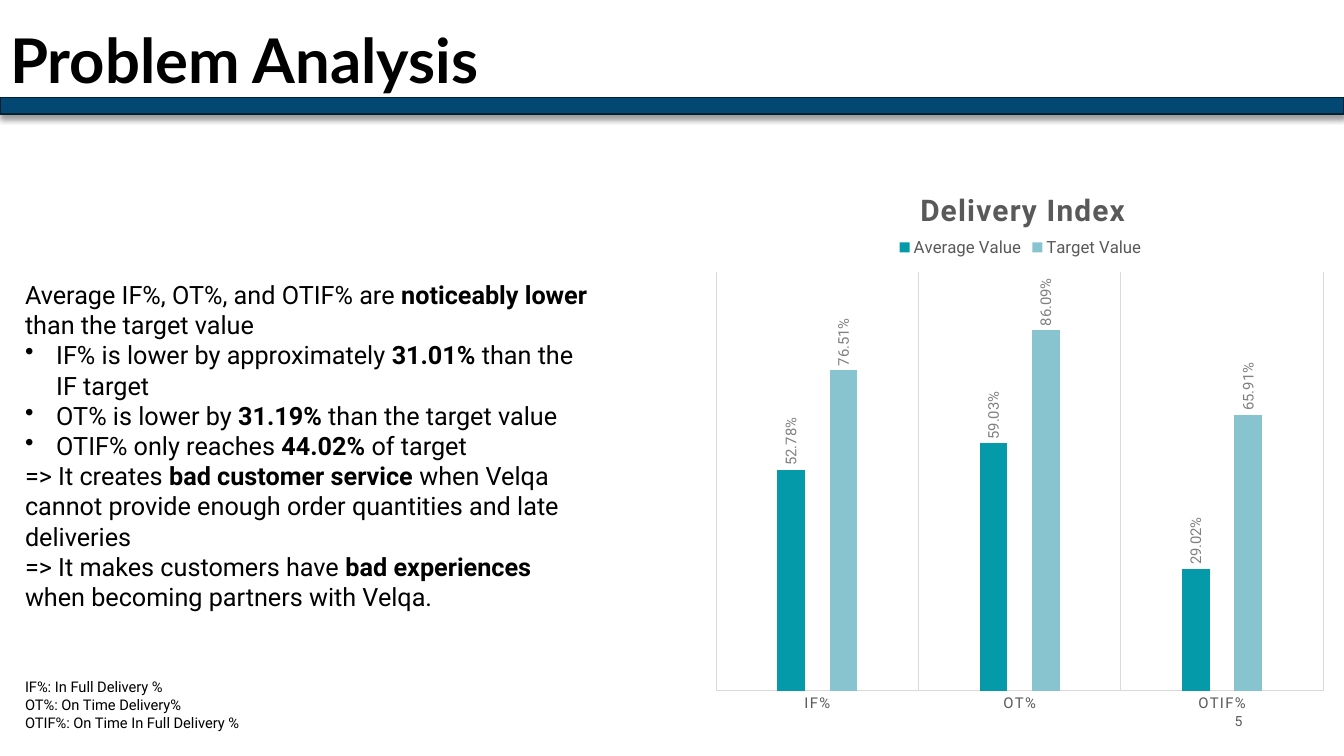
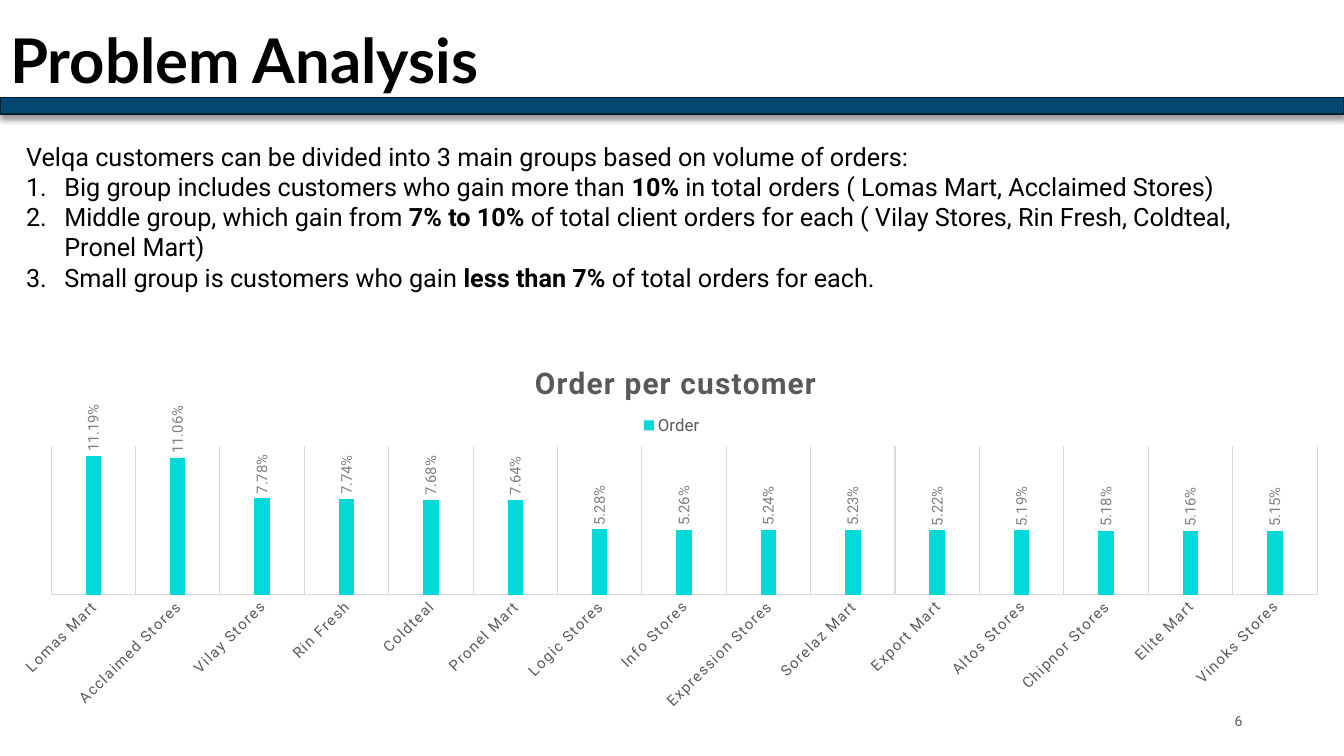
import pptx
import pptx.chart.data
import pptx.dml.color
import pptx.enum.chart
import pptx.enum.shapes
import pptx.enum.text
import pptx.oxml
import pptx.oxml.ns
import pptx.util
from lxml import etree

Inches, Pt = pptx.util.Inches, pptx.util.Pt
qn = pptx.oxml.ns.qn
MIDDLE = pptx.enum.text.MSO_ANCHOR.MIDDLE
ALIGN = pptx.enum.text.PP_ALIGN

COLORS = {
    "text": "000000", "band": "024873", "band_line": "012032",
    "muted": "595959", "label": "808080", "rule": "D9D9D9",
    "average": "049AAA", "target": "87C4D0", "order": "04D9D9",
}
TITLE_FONT, BODY_FONT = "Lato", "Roboto"
SLIDE_W = 13.33


def rgb(name):
    return pptx.dml.color.RGBColor.from_string(COLORS[name])


def set_font(font, size, color="text", name=BODY_FONT, bold=None):
    font.size, font.name, font.bold = Pt(size), name, bold
    font.color.rgb = rgb(color)


# Shared slide parts
def add_band(slide):
    sp = slide.shapes.add_shape(pptx.enum.shapes.MSO_SHAPE.RECTANGLE,
                                0, Inches(0.97), Inches(SLIDE_W), Inches(0.16))
    sp.fill.solid()
    sp.fill.fore_color.rgb = rgb("band")
    sp.line.color.rgb = rgb("band_line")
    sp.line.width = Pt(1)
    sp.shadow.inherit = False
    effects = sp.element.spPr.find(qn("a:effectLst"))
    shadow = etree.SubElement(effects, qn("a:outerShdw"), blurRad=str(Pt(4)),
                              dist=str(Pt(3)), dir="5400000", algn="t", rotWithShape="0")
    black = etree.SubElement(shadow, qn("a:srgbClr"), val=COLORS["text"])
    etree.SubElement(black, qn("a:alpha"), val="40000")


def add_slide(prs, title, number):
    s = prs.slides.add_slide(prs.slide_layouts[5])
    sp = s.shapes.title
    sp.left, sp.top, sp.width, sp.height = 0, Inches(0.15), Inches(6.16), Inches(0.97)
    tf = sp.text_frame
    tf.text = title
    tf.vertical_anchor = MIDDLE
    p = tf.paragraphs[0]
    p.alignment, p.line_spacing = ALIGN.LEFT, 0.9
    set_font(p.font, 44, name=TITLE_FONT, bold=True)

    tf = add_text(s, (9.42, 6.95, 3, 0.4), [(str(number), None)], 10, "muted")
    tf.vertical_anchor = MIDDLE
    tf.paragraphs[0].alignment = ALIGN.RIGHT
    add_band(s)
    return s


# Text: each line is (text with **bold** parts, list style or None)
def set_list_style(p, style):
    indent = {"bullet": 0.31, "number": 0.38}[style]
    pPr = p._p.get_or_add_pPr()
    pPr.set("marL", str(Inches(indent)))
    pPr.set("indent", str(-Inches(indent)))
    if style == "bullet":
        mark = etree.Element(qn("a:buChar"), char="•")
    else:
        mark = etree.Element(qn("a:buAutoNum"), type="arabicPeriod")
    pPr.insert(0, mark)


def add_text(slide, box, lines, size, color="text"):
    tf = slide.shapes.add_textbox(*map(Inches, box)).text_frame
    tf.word_wrap = True
    for i, (text, style) in enumerate(lines):
        p = tf.add_paragraph() if i else tf.paragraphs[0]
        if style:
            set_list_style(p, style)
        set_font(p.font, size, color)
        for j, part in enumerate(text.split("**")):
            if part:
                r = p.add_run()
                r.text = part
                if j % 2:
                    r.font.bold = True
    return tf


# Charts
def set_layout(el, index, **fractions):
    """Place a chart part by fractions of the chart area."""
    for old in el.findall(qn("c:layout")):
        el.remove(old)
    layout = etree.Element(qn("c:layout"))
    manual = etree.SubElement(layout, qn("c:manualLayout"))
    if "w" in fractions:
        etree.SubElement(manual, qn("c:layoutTarget"), val="inner")
    for key in ("x", "y"):
        etree.SubElement(manual, qn(f"c:{key}Mode"), val="edge")
    for key, value in fractions.items():
        etree.SubElement(manual, qn(f"c:{key}"), val=str(value))
    el.insert(index, layout)


def rotate_text(el, degrees):
    el.find(qn("c:txPr")).find(qn("a:bodyPr")).set("rot", str(degrees * 60000))


def style_axes(chart, maximum, label_angle):
    val = chart.value_axis
    val.minimum_scale, val.maximum_scale = 0, maximum
    val.has_major_gridlines = False
    val.visible = False
    cat = chart.category_axis
    cat.major_tick_mark = pptx.enum.chart.XL_TICK_MARK.NONE
    cat.has_major_gridlines = True
    for line in (cat.format.line, cat.major_gridlines.format.line):
        line.color.rgb = rgb("rule")
        line.width = Pt(0.75)
    set_font(cat.tick_labels.font, 10.6, "muted")
    el = chart.element.find(".//" + qn("c:catAx"))
    rotate_text(el, label_angle)
    el.find(".//" + qn("a:defRPr")).set("spc", "100")


def style_series(ser, color):
    ser.format.fill.solid()
    ser.format.fill.fore_color.rgb = rgb(color)
    labels = ser.data_labels
    labels.show_value = True
    labels.number_format, labels.number_format_is_linked = "0.00%", False
    labels.position = pptx.enum.chart.XL_LABEL_POSITION.OUTSIDE_END
    set_font(labels.font, 10.6, "label")
    rotate_text(ser._element.find(qn("c:dLbls")), -90)


def add_column_chart(slide, box, title, cats, series, maximum, label_angle,
                     title_at, legend_at, plot_at):
    """series holds (name, colour, values in percent)."""
    data = pptx.chart.data.CategoryChartData(number_format="0.00%")
    data.categories = cats
    for name, _, values in series:
        data.add_series(name, [round(v / 100, 4) for v in values])
    chart = slide.shapes.add_chart(pptx.enum.chart.XL_CHART_TYPE.COLUMN_CLUSTERED,
                                   *map(Inches, box), data).chart
    set_font(chart.font, 10)
    plot = chart.plots[0]
    plot.gap_width, plot.overlap, plot.vary_by_categories = 444, -90, False
    for ser, (_, color, _) in zip(plot.series, series):
        style_series(ser, color)
    style_axes(chart, maximum, label_angle)

    # Title and legend
    chart.has_title = True
    p = chart.chart_title.text_frame.paragraphs[0]
    r = p.add_run()
    r.text = title
    set_font(r.font, 21.3, "muted", bold=True)
    r._r.get_or_add_rPr().set("spc", "100")
    chart.has_legend = True
    chart.legend.position = pptx.enum.chart.XL_LEGEND_POSITION.TOP
    chart.legend.include_in_layout = False
    set_font(chart.legend.font, 12, "muted")

    for tag, index, at in (("c:title", 1, title_at), ("c:legend", 1, legend_at),
                           ("c:plotArea", 0, plot_at)):
        set_layout(chart.element.find(".//" + qn(tag)), index, **dict(zip("xywh", at)))


# Slides
def build_delivery(prs):
    s = add_slide(prs, "Problem Analysis", 5)
    add_column_chart(
        s, (6.99, 1.62, 6.26, 5.56), "Delivery Index", ["IF%", "OT%", "OTIF%"],
        [("Average Value", "average", [52.78, 59.03, 29.02]),
         ("Target Value", "target", [76.51, 86.09, 65.91])],
        maximum=1, label_angle=0, title_at=(0.333, 0.039),
        legend_at=(0.3, 0.125), plot_at=(0.018, 0.194, 0.962, 0.747))
    add_text(s, (0.15, 2.72, 5.87, 3.13), [
        ("Average IF%, OT%, and OTIF% are **noticeably lower **than the target value", None),
        ("IF% is lower by approximately **31.01% **than the IF target", "bullet"),
        ("OT% is lower by **31.19%** than the target value", "bullet"),
        ("OTIF% only reaches **44.02%** of target", "bullet"),
        ("=> It creates **bad customer service **when Velqa cannot provide "
         "enough order quantities and late deliveries", None),
        ("=> It makes customers have **bad experiences **when becoming "
         "partners with Velqa.", None),
    ], 18)
    add_text(s, (0.15, 6.68, 5.3, 0.63), [
        ("IF%: In Full Delivery %", None),
        ("OT%: On Time Delivery%", None),
        ("OTIF%: On Time In Full Delivery %", None),
    ], 10.5)


def build_customers(prs):
    s = add_slide(prs, "Problem Analysis", 6)
    orders = {
        "Lomas Mart": 11.19, "Acclaimed Stores": 11.06, "Vilay Stores": 7.78,
        "Rin Fresh": 7.74, "Coldteal": 7.68, "Pronel Mart": 7.64,
        "Logic Stores": 5.28, "Info Stores": 5.26, "Expression Stores": 5.24,
        "Sorelaz Mart": 5.23, "Export Mart": 5.22, "Altos Stores": 5.19,
        "Chipnor Stores": 5.18, "Elite Mart": 5.16, "Vinoks Stores": 5.15,
    }
    add_column_chart(
        s, (0, 3.35, SLIDE_W, 3.81), "Order per customer", list(orders),
        [("Order", "order", list(orders.values()))],
        maximum=0.12, label_angle=-45, title_at=(0.394, 0.054),
        legend_at=(0.475, 0.192), plot_at=(0.038, 0.282, 0.942, 0.388))
    add_text(s, (0.16, 1.35, 12.61, 2.22), [
        ("Velqa customers can be divided into 3 main groups based on volume of orders:", None),
        ("Big group includes customers who gain more than **10%** in total orders "
         "( Lomas Mart, Acclaimed Stores)", "number"),
        ("Middle group, which gain from **7% to 10%** of total client orders for each "
         "( Vilay Stores, Rin Fresh, Coldteal, Pronel Mart)", "number"),
        ("Small group is customers who gain **less than 7% **of total orders for each.",
         "number"),
    ], 18)


def main():
    prs = pptx.Presentation()
    prs.slide_width, prs.slide_height = Inches(SLIDE_W), Inches(7.5)
    build_delivery(prs)
    build_customers(prs)
    prs.save("out.pptx")


if __name__ == "__main__":
    main()
